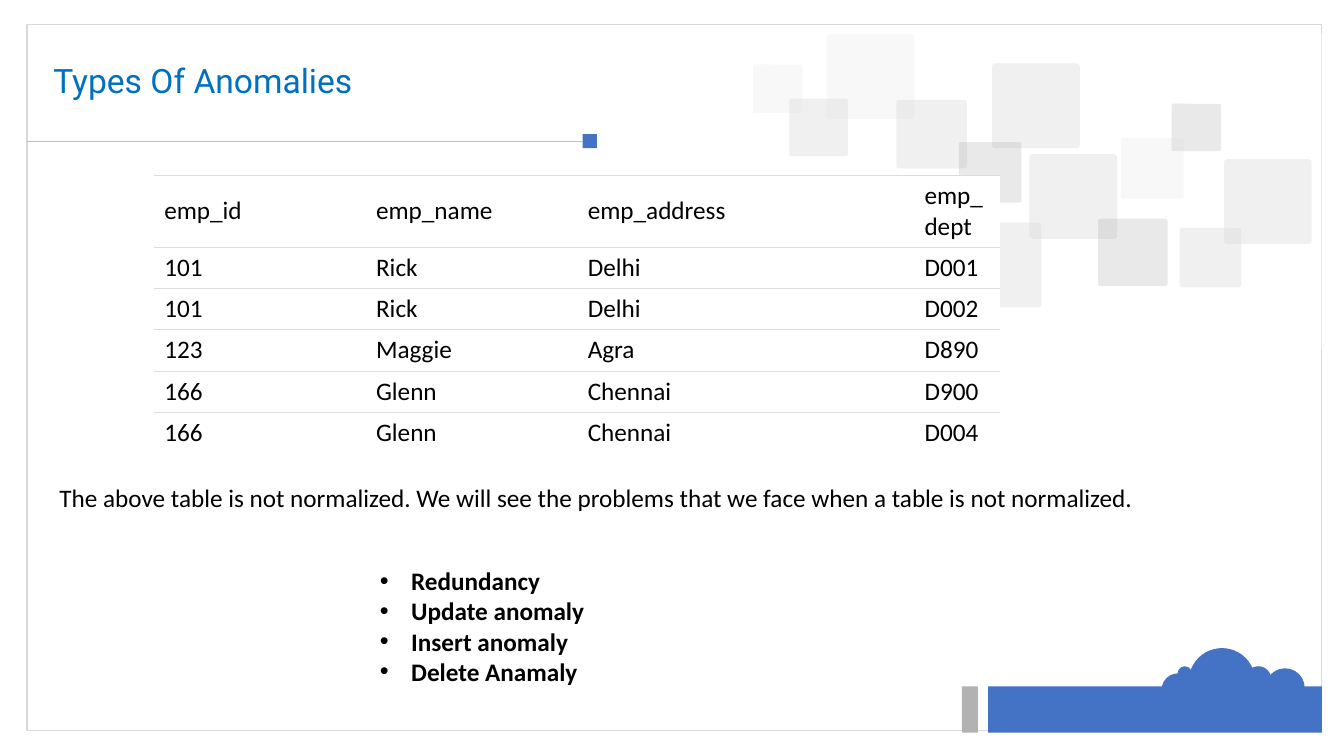
from lxml import etree
from pptx import Presentation
from pptx.dml.color import RGBColor
from pptx.enum.shapes import MSO_CONNECTOR, MSO_SHAPE
from pptx.enum.text import MSO_ANCHOR
from pptx.oxml.ns import qn
from pptx.util import Inches, Pt

RECTANGLE = MSO_SHAPE.RECTANGLE
ROUNDED = MSO_SHAPE.ROUNDED_RECTANGLE
OVAL = MSO_SHAPE.OVAL
STRAIGHT = MSO_CONNECTOR.STRAIGHT
TOP, MIDDLE = MSO_ANCHOR.TOP, MSO_ANCHOR.MIDDLE

WHITE, BLACK, GRAY, BLUE = "FFFFFF", "000000", "B2B2B2", "4472C4"
TITLE_BLUE, FRAME_GRAY, RULE_GRAY, BORDER_GRAY = "0070C0", "D9D9D9", "BFBFBF", "DDDDDD"

# left, top, width, height, colour, opacity in percent
TILES = [
    (8.2, 0.34, 0.87, 0.84, GRAY, 16),
    (9.84, 0.63, 0.87, 0.84, GRAY, 36),
    (9.46, 2.21, 0.87, 0.84, GRAY, 36),
    (10.21, 1.53, 0.87, 0.84, GRAY, 36),
    (8.89, 0.99, 0.7, 0.68, GRAY, 36),
    (8.65, 1.88, 0.7, 0.68, GRAY, 16),
    (9.51, 1.41, 0.62, 0.6, BLACK, 16),
    (11.62, 1.03, 0.49, 0.47, BLACK, 16),
    (11.12, 1.37, 0.62, 0.6, GRAY, 16),
    (10.89, 2.17, 0.69, 0.67, BLACK, 16),
    (7.83, 0.98, 0.58, 0.57, GRAY, 35),
    (7.47, 0.64, 0.49, 0.48, GRAY, 16),
    (12.14, 1.58, 0.87, 0.84, GRAY, 36),
    (11.7, 2.26, 0.61, 0.59, GRAY, 36),
]
# left, top, diameter
CLOUD_PUFFS = [
    (11.79, 6.43, 0.66),
    (11.52, 6.68, 0.33),
    (12.35, 6.61, 0.26),
    (12.55, 6.63, 0.39),
    (11.68, 6.61, 0.14),
]
EMPLOYEES = [
    ("emp_id", "emp_name", "emp_address", "emp_dept"),
    ("101", "Rick", "Delhi", "D001"),
    ("101", "Rick", "Delhi", "D002"),
    ("123", "Maggie", "Agra", "D890"),
    ("166", "Glenn", "Chennai", "D900"),
    ("166", "Glenn", "Chennai", "D004"),
]
COLUMN_WIDTHS = [2.1, 2.1, 3.34, 0.85]
ROW_HEIGHTS = [0.71] + [0.41] * 5
ANOMALIES = ["Redundancy", "Update anomaly", "Insert anomaly", "Delete Anamaly"]


def color(value):
    return RGBColor.from_string(value)


class SlideBuilder:
    """Draws styled elements on one slide."""

    body_font = "Calibri"
    body_size = 18

    def __init__(self, page):
        self.page = page

    def shape(self, kind, left, top, width, height, fill=None, opacity=100, line=None):
        shape = self.page.shapes.add_shape(
            kind, Inches(left), Inches(top), Inches(width), Inches(height))
        shape.shadow.inherit = False
        if kind == ROUNDED:
            shape.adjustments[0] = 0.04
        if fill:
            shape.fill.solid()
            shape.fill.fore_color.rgb = color(fill)
        else:
            shape.fill.background()
        if opacity < 100:
            tint = shape.fill._xPr.find(qn("a:solidFill"))[0]
            etree.SubElement(tint, qn("a:alpha"), val=str(opacity * 1000))
        if line:
            shape.line.color.rgb = color(line)
            shape.line.width = Pt(1)
        else:
            shape.line.fill.background()

    def rule(self, left, top, right):
        connector = self.page.shapes.add_connector(
            STRAIGHT, Inches(left), Inches(top), Inches(right), Inches(top))
        connector.line.color.rgb = color(RULE_GRAY)
        connector.line.width = Pt(0.5)
        etree.SubElement(connector._element.spPr, qn("a:effectLst"))

    def style(self, para, font=body_font, size=body_size, ink=BLACK, bold=False):
        para.font.name = font
        para.font.size = Pt(size)
        para.font.color.rgb = color(ink)
        para.font.bold = bold

    def text(self, left, top, width, height, lines, anchor=TOP, bullets=False,
             spacing=None, **font):
        box = self.page.shapes.add_textbox(
            Inches(left), Inches(top), Inches(width), Inches(height))
        frame = box.text_frame
        frame.word_wrap = True
        frame.vertical_anchor = anchor
        frame.text = "\n".join(lines)
        for para in frame.paragraphs:
            if bullets:
                self.bullet(para)
            if spacing:
                para.line_spacing = spacing
            self.style(para, **font)

    def bullet(self, para):
        properties = para._p.get_or_add_pPr()
        properties.set("marL", str(Inches(0.31)))
        properties.set("indent", str(-Inches(0.31)))
        etree.SubElement(properties, qn("a:buFont"), typeface="Arial")
        etree.SubElement(properties, qn("a:buChar"), char="•")

    def border(self, cell, side, ink=None):
        """Set one cell edge; without ink the edge is empty."""
        edge = etree.SubElement(
            cell._tc.get_or_add_tcPr(), qn("a:ln" + side), w=str(Pt(0.6)))
        if ink:
            fill = etree.SubElement(edge, qn("a:solidFill"))
            etree.SubElement(fill, qn("a:srgbClr"), val=ink)
        else:
            etree.SubElement(edge, qn("a:noFill"))

    def table(self, left, top, widths, heights, rows):
        table = self.page.shapes.add_table(
            len(rows), len(widths), Inches(left), Inches(top),
            Inches(sum(widths)), Inches(sum(heights))).table
        table.first_row = table.horz_banding = False
        for column, width in zip(table.columns, widths):
            column.width = Inches(width)
        for row, height in zip(table.rows, heights):
            row.height = Inches(height)
        for row_index, values in enumerate(rows):
            is_last = row_index == len(rows) - 1
            for column_index, value in enumerate(values):
                cell = table.cell(row_index, column_index)
                cell.text = value
                cell.vertical_anchor = MIDDLE
                self.style(cell.text_frame.paragraphs[0])
                self.border(cell, "L")
                self.border(cell, "R")
                self.border(cell, "T", BORDER_GRAY)
                self.border(cell, "B", None if is_last else BORDER_GRAY)
                cell.fill.solid()
                cell.fill.fore_color.rgb = color(WHITE)


def main():
    deck = Presentation()
    deck.slide_width, deck.slide_height = Inches(13.33), Inches(7.5)
    builder = SlideBuilder(deck.slides.add_slide(deck.slide_layouts[6]))

    builder.shape(RECTANGLE, 0.27, 0.24, 12.84, 7.01, line=FRAME_GRAY)
    builder.shape(RECTANGLE, 9.8, 6.81, 3.31, 0.46, BLUE)
    builder.shape(RECTANGLE, 9.54, 6.81, 0.16, 0.46, GRAY)
    builder.rule(0.27, 1.4, 5.78)
    builder.shape(RECTANGLE, 5.78, 1.33, 0.14, 0.14, BLUE)
    for tile in TILES:
        builder.shape(ROUNDED, *tile)
    builder.shape(RECTANGLE, 7.12, 0.33, 5.99, 3.14, WHITE, 48)
    for left, top, diameter in CLOUD_PUFFS:
        builder.shape(OVAL, left, top, diameter, diameter, BLUE)

    builder.text(0.43, 0.4, 12.45, 0.84, ["Types Of Anomalies"], anchor=MIDDLE,
                 spacing=0.9, font="Roboto", size=24, ink=TITLE_BLUE)
    builder.table(1.53, 1.74, COLUMN_WIDTHS, ROW_HEIGHTS, EMPLOYEES)
    builder.text(0.49, 4.74, 12.03, 0.4, [
        "The above table is not normalized. "
        "We will see the problems that we face when a table is not normalized."])
    builder.text(3.67, 5.56, 4.64, 1.31, ANOMALIES, bullets=True, bold=True)
    deck.save("out.pptx")


if __name__ == "__main__":
    main()
